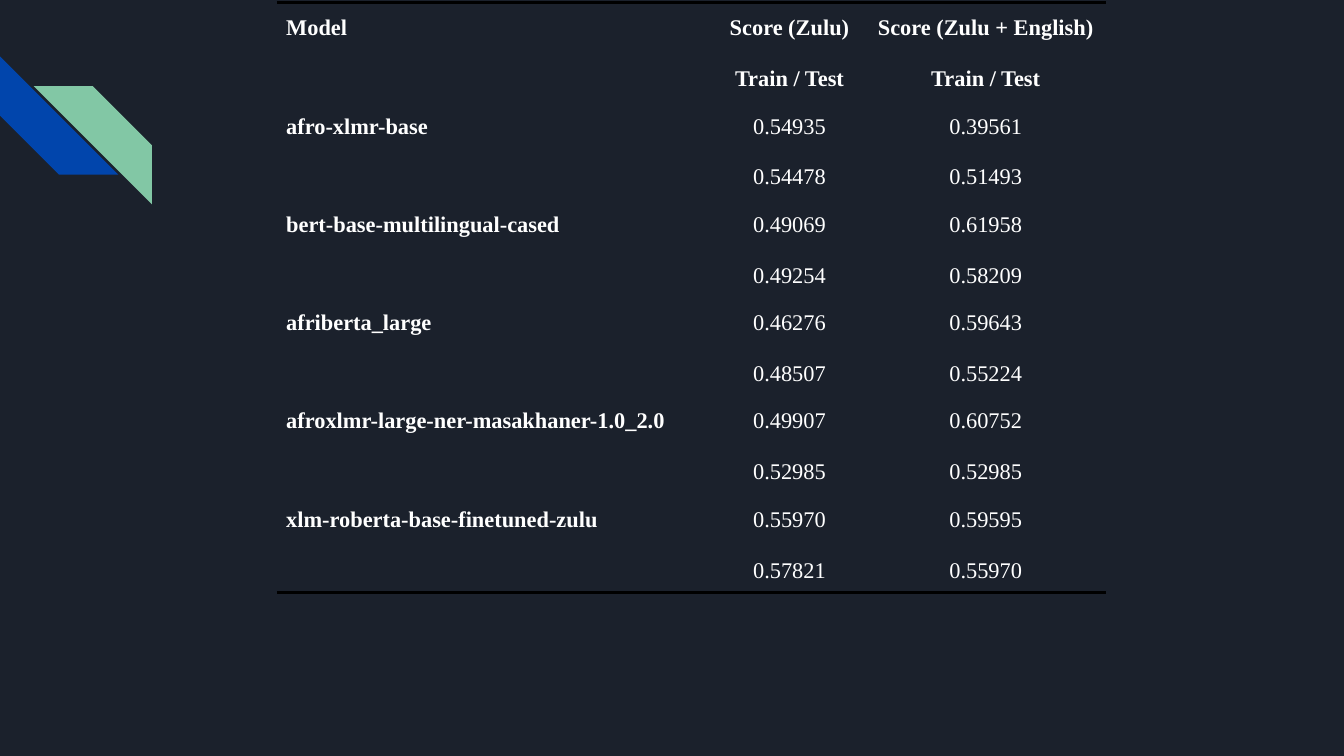
from pptx import Presentation
from pptx.dml.color import RGBColor
from pptx.enum.shapes import MSO_SHAPE
from pptx.enum.text import PP_ALIGN
from pptx.oxml import parse_xml
from pptx.oxml.ns import nsdecls
from pptx.util import Inches, Pt

# Content: each cell is a list of paragraphs
HEADER = [["Model"],
          ["Score (Zulu)", "Train / Test"],
          ["Score (Zulu + English)", "Train / Test"]]
MODELS = [
    [["afro-xlmr-base"], ["0.54935", "0.54478"], ["0.39561", "0.51493"]],
    [["bert-base-multilingual-cased"], ["0.49069", "0.49254"], ["0.61958", "0.58209"]],
    [["afriberta_large"], ["0.46276", "0.48507"], ["0.59643", "0.55224"]],
    [["afroxlmr-large-ner-masakhaner-1.0_2.0"], ["0.49907", "0.52985"], ["0.60752", "0.52985"]],
    [["xlm-roberta-base-finetuned-zulu"], ["0.55970", "0.57821"], ["0.59595", "0.55970"]],
]
ROWS = [HEADER] + MODELS

THEME = {
    "background": RGBColor.from_string("1B212C"),
    "blue": RGBColor.from_string("0145AC"),
    "green": RGBColor.from_string("82C7A5"),
    "text": RGBColor.from_string("FFFFFF"),
    "rule": "000000",
    "font": "Times New Roman",
    "size": Pt(12),
    "space": Pt(12),
    "rule_width": Pt(1.8),
}

# Layout in inches, on a 16:9 slide
SLIDE_WIDTH = 10
SLIDE_HEIGHT = SLIDE_WIDTH * 9 / 16
TABLE_LEFT, TABLE_TOP = 2.06, 0.02
COLUMN_WIDTHS = [3.25, 1.13, 1.79]
ROW_HEIGHTS = [0.73] + [0.7] * len(MODELS)
CELL_MARGIN = 0.07
STRIPE_SIZE = 0.88
STRIPES = [(0, 0.42, 270, "blue"), (0.25, 0.64, 90, "green")]


def add_stripe(slide, left, top, rotation, color):
    stripe = slide.shapes.add_shape(
        MSO_SHAPE.DIAGONAL_STRIPE, Inches(left), Inches(top),
        Inches(STRIPE_SIZE), Inches(STRIPE_SIZE))
    stripe.rotation = rotation
    stripe.shadow.inherit = False
    stripe.fill.solid()
    stripe.fill.fore_color.rgb = THEME[color]
    stripe.line.fill.background()


def set_borders(cell, ruled_sides):
    """Rule the given sides and clear the rest; borders precede the fill."""
    properties = cell._tc.get_or_add_tcPr()
    for index, side in enumerate(["L", "R", "T", "B"]):
        if side in ruled_sides:
            paint = f'<a:solidFill><a:srgbClr val="{THEME["rule"]}"/></a:solidFill>'
        else:
            paint = "<a:noFill/>"
        properties.insert(index, parse_xml(
            f'<a:ln{side} {nsdecls("a")} w="{THEME["rule_width"]}">{paint}</a:ln{side}>'))


def fill_cell(cell, lines, row, column):
    cell.fill.background()
    cell.margin_left = cell.margin_right = Inches(CELL_MARGIN)
    cell.margin_top = cell.margin_bottom = Inches(CELL_MARGIN)
    cell.text_frame.text = "\n".join(lines)
    for para in cell.text_frame.paragraphs:
        para.alignment = PP_ALIGN.JUSTIFY if column == 0 else PP_ALIGN.CENTER
        para.line_spacing = 1.15
        para.space_before = THEME["space"]
        para.space_after = THEME["space"] if row == column == 0 else Pt(0)
        for span in para.runs:
            span.font.name = THEME["font"]
            span.font.size = THEME["size"]
            span.font.bold = row == 0 or column == 0
            span.font.color.rgb = THEME["text"]
    ruled_sides = {0: "T", len(ROWS) - 1: "B"}.get(row, "")
    set_borders(cell, ruled_sides)


def add_score_table(slide):
    table = slide.shapes.add_table(
        len(ROWS), len(COLUMN_WIDTHS), Inches(TABLE_LEFT), Inches(TABLE_TOP),
        Inches(sum(COLUMN_WIDTHS)), Inches(sum(ROW_HEIGHTS))).table
    table.first_row = table.horz_banding = False
    for column, width in zip(table.columns, COLUMN_WIDTHS):
        column.width = Inches(width)
    for row, height in zip(table.rows, ROW_HEIGHTS):
        row.height = Inches(height)
    for row, cells in enumerate(ROWS):
        for column, lines in enumerate(cells):
            fill_cell(table.cell(row, column), lines, row, column)


def main():
    deck = Presentation()
    deck.slide_width, deck.slide_height = Inches(SLIDE_WIDTH), Inches(SLIDE_HEIGHT)
    slide = deck.slides.add_slide(deck.slide_layouts[6])
    slide.background.fill.solid()
    slide.background.fill.fore_color.rgb = THEME["background"]

    # Corner decoration, then the scores
    for stripe in STRIPES:
        add_stripe(slide, *stripe)
    add_score_table(slide)
    deck.save("out.pptx")


if __name__ == "__main__":
    main()
